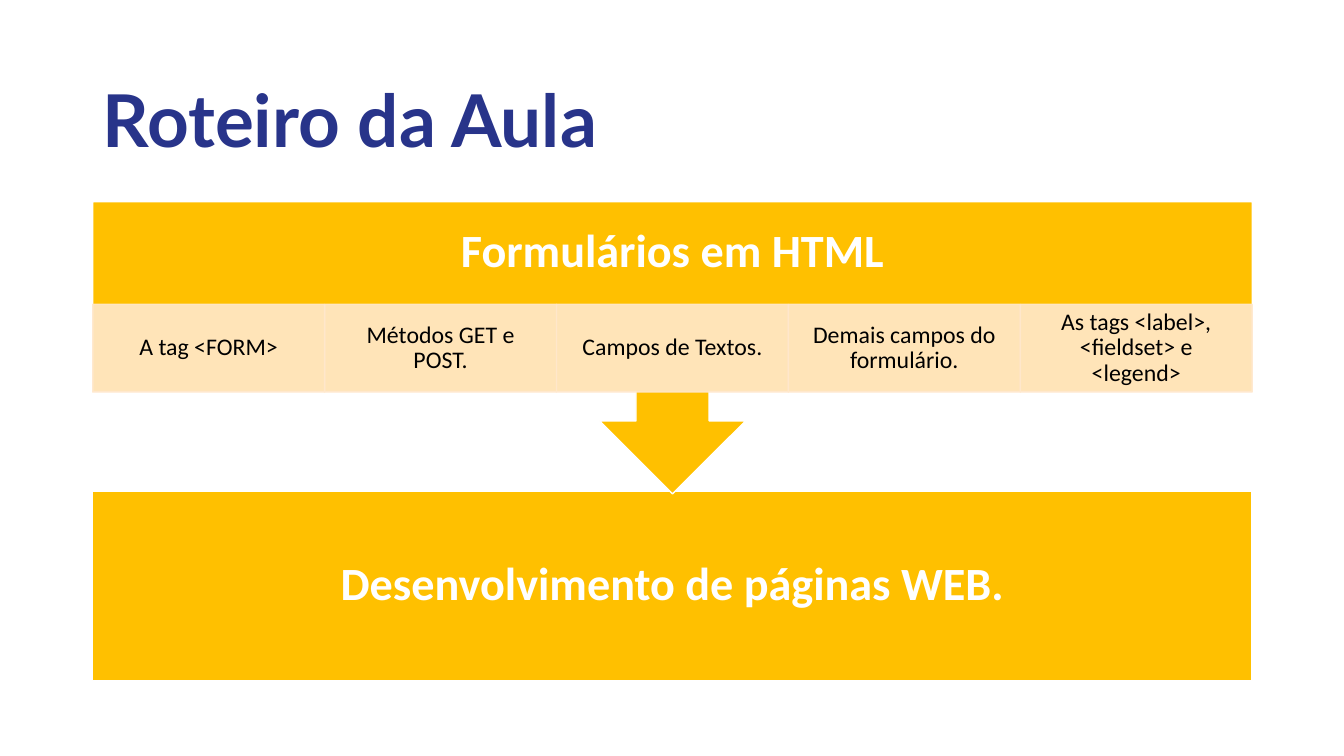
from dataclasses import dataclass

from lxml.etree import SubElement
from pptx import Presentation
from pptx.dml.color import RGBColor
from pptx.enum.shapes import MSO_SHAPE as Preset
from pptx.enum.text import MSO_ANCHOR as Anchor, MSO_AUTO_SIZE as AutoSize, PP_ALIGN as Align
from pptx.oxml.ns import qn
from pptx.util import Inches, Pt

TITLE = "Roteiro da Aula"
TOPIC = "Formulários em HTML"
STEPS = [
    "A tag <FORM>",
    "Métodos GET e POST.",
    "Campos de Textos.",
    "Demais campos do formulário.",
    "As tags <label>, <fieldset> e <legend>",
]
OUTCOME = "Desenvolvimento de páginas WEB."


@dataclass(frozen=True)
class Theme:
    title_font: str = "Lato"
    body_font: str = "Calibri"
    navy: str = "28348A"
    gold: str = "FFC000"
    cream: str = "FFE8CC"
    white: str = "FFFFFF"
    black: str = "000000"
    title_size: int = 52
    heading_size: int = 33
    step_size: int = 17


THEME = Theme()
LEFT, WIDTH = 0.92, 11.5
CALLOUT_TOP, CALLOUT_HEIGHT = 2, 2.9
HEADING_HEIGHT, STEP_HEIGHT = 1.02, 0.87
OUTCOME_TOP, OUTCOME_HEIGHT = 4.87, 1.88
HEADING_INSETS = (0.26, 0.26)
STEP_INSETS = (0.13, 0.02)


def set_text(shape, text, font, size, color, bold, align, insets=(0.1, 0.05)):
    """Write one paragraph; insets are (horizontal, vertical) in inches."""
    frame = shape.text_frame
    frame.text = text
    frame.word_wrap = True
    frame.auto_size = AutoSize.NONE
    frame.vertical_anchor = Anchor.MIDDLE
    frame.margin_left = frame.margin_right = Inches(insets[0])
    frame.margin_top = frame.margin_bottom = Inches(insets[1])
    paragraph = frame.paragraphs[0]
    paragraph.alignment = align
    paragraph.line_spacing = 0.9
    run_font = paragraph.runs[0].font
    run_font.name, run_font.size, run_font.bold = font, Pt(size), bold
    run_font.color.rgb = RGBColor.from_string(color)


def set_heading(shape, text):
    set_text(shape, text, THEME.body_font, THEME.heading_size, THEME.white,
             True, Align.CENTER, HEADING_INSETS)


def add_block(slide, preset, box, fill, line, opacity=100):
    shape = slide.shapes.add_shape(preset, *map(Inches, box))
    shape.shadow.inherit = False
    shape.fill.solid()
    shape.fill.fore_color.rgb = RGBColor.from_string(fill)
    shape.line.color.rgb = RGBColor.from_string(line)
    shape.line.width = Pt(1)
    if opacity < 100:
        for color in shape.element.spPr.iter(qn("a:srgbClr")):
            SubElement(color, qn("a:alpha"), val=str(opacity * 1000))
    return shape


def main():
    presentation = Presentation()
    presentation.slide_width = Inches(13.33)
    presentation.slide_height = Inches(7.5)
    slide = presentation.slides.add_slide(presentation.slide_layouts[5])

    title = slide.shapes.title
    title.left, title.top, title.width, title.height = map(Inches, (LEFT, 0.61, WIDTH, 1.24))
    set_text(title, TITLE, THEME.title_font, THEME.title_size, THEME.navy, True, Align.LEFT)

    outcome = add_block(slide, Preset.RECTANGLE, (LEFT, OUTCOME_TOP, WIDTH, OUTCOME_HEIGHT),
                        THEME.gold, THEME.white)
    set_heading(outcome, OUTCOME)

    callout = add_block(slide, Preset.UP_ARROW_CALLOUT,
                        (LEFT, CALLOUT_TOP, WIDTH, CALLOUT_HEIGHT), THEME.gold, THEME.white)
    callout.rotation = 180
    # The callout is upside down, so its heading sits in an upright text box.
    heading = slide.shapes.add_textbox(
        *map(Inches, (LEFT, CALLOUT_TOP, WIDTH, HEADING_HEIGHT)))
    set_heading(heading, TOPIC)

    step_width = WIDTH / len(STEPS)
    for index, text in enumerate(STEPS):
        box = (LEFT + index * step_width, CALLOUT_TOP + HEADING_HEIGHT, step_width, STEP_HEIGHT)
        step = add_block(slide, Preset.RECTANGLE, box, THEME.cream, THEME.cream, opacity=90)
        set_text(step, text, THEME.body_font, THEME.step_size, THEME.black,
                 False, Align.CENTER, STEP_INSETS)

    presentation.save("out.pptx")


if __name__ == "__main__":
    main()
